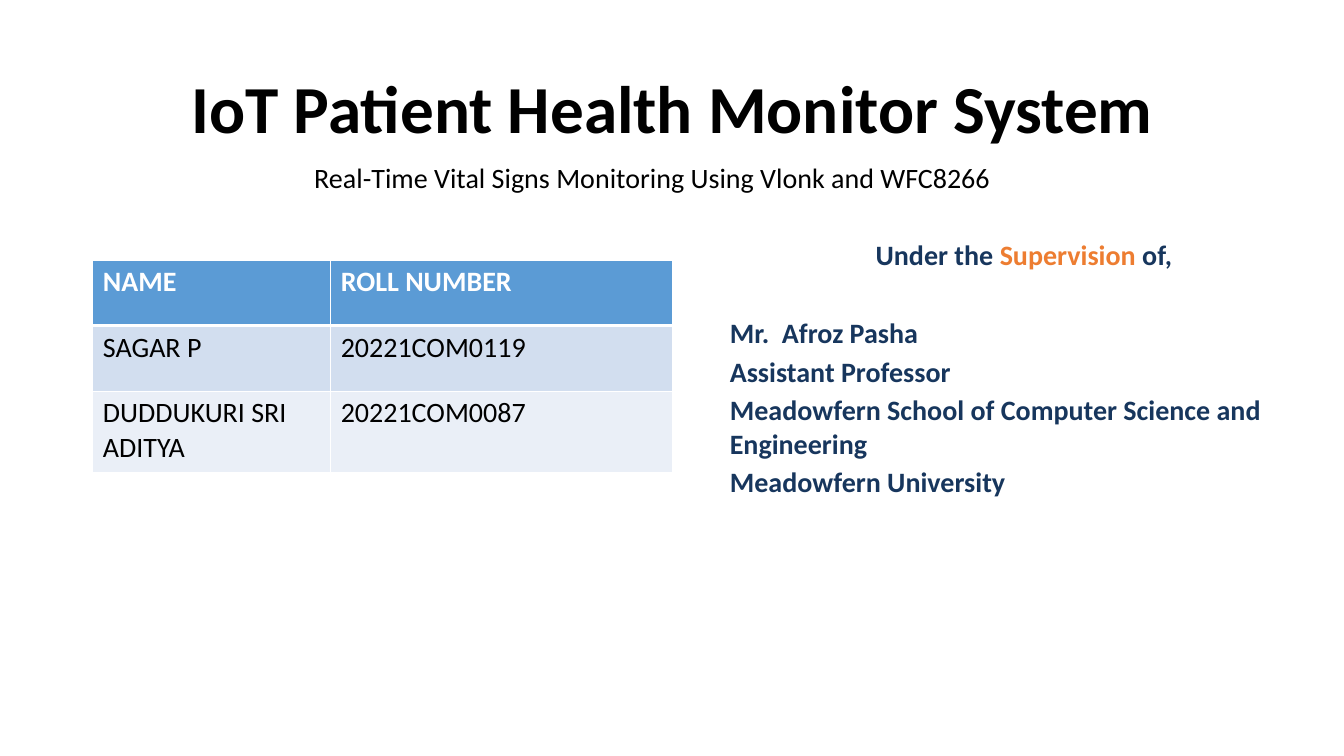
import pptx
import pptx.util
import pptx.dml.color
import pptx.enum.text
import lxml.etree
from pptx.util import Inches

COLORS = {
    "black": "000000", "white": "FFFFFF", "navy": "17365D", "orange": "ED7D31",
    "header": "5B9BD5", "band": "D2DEEF", "light": "EAEFF7",
}
LEFT = pptx.enum.text.PP_ALIGN.LEFT
CENTER = pptx.enum.text.PP_ALIGN.CENTER
NS = "http://schemas.openxmlformats.org/drawingml/2006/main"


def rgb(name):
    return pptx.dml.color.RGBColor.from_string(COLORS[name])


def write(p, text, size=20, color="black", bold=False, align=LEFT, before=0, line=None):
    """Add a formatted run to a paragraph."""
    p.alignment = align
    p.space_before = pptx.util.Pt(before)
    if line:
        p.line_spacing = pptx.util.Pt(line)
    r = p.add_run()
    r.text = text
    r.font.name = "Calibri"
    r.font.size = pptx.util.Pt(size)
    r.font.bold = bold
    r.font.color.rgb = rgb(color)


prs = pptx.Presentation()
prs.slide_width = Inches(13.33)
prs.slide_height = Inches(7.5)
s = prs.slides.add_slide(prs.slide_layouts[6])

# Supervisor
tf = s.shapes.add_textbox(Inches(7.14), Inches(2.31), Inches(6.03), Inches(2.21)).text_frame
tf.word_wrap = True
for text, color in [("Under the ", "navy"), ("Supervision", "orange"), (" of,", "navy")]:
    write(tf.paragraphs[0], text, color=color, bold=True, align=CENTER)
supervisor = [
    ("Mr.  Afroz Pasha", 31.8),
    ("Assistant Professor", 3.4),
    ("Meadowfern School of Computer Science and Engineering", 3.4),
    ("Meadowfern University", 3.4),
]
for text, before in supervisor:
    write(tf.add_paragraph(), text, color="navy", bold=True, before=before)

# Subtitle and title
headings = [
    ("Real-Time Vital Signs Monitoring Using Vlonk and WFC8266",
     (-0.23, 0.88, 13.4, 1.71), {"line": 72}),
    ("IoT Patient Health Monitor System",
     (0.92, 0.6, 11.5, 1.71), {"size": 48, "bold": True, "line": 58}),
]
for text, box, style in headings:
    tf = s.shapes.add_textbox(*map(Inches, box)).text_frame
    tf.word_wrap = True
    write(tf.paragraphs[0], text, align=CENTER, **style)

# Students
students = [
    ("NAME", "ROLL NUMBER"),
    ("SAGAR P", "20221COM0119"),
    ("DUDDUKURI SRI ADITYA", "20221COM0087"),
]
row_fills = ["header", "band", "light"]
table = s.shapes.add_table(3, 2, Inches(0.92), Inches(2.58), Inches(5.75), Inches(2.11)).table
table.horz_banding = False
for column, width in zip(table.columns, [2.36, 3.39]):
    column.width = Inches(width)
for row, height in zip(table.rows, [0.65, 0.65, 0.81]):
    row.height = Inches(height)
for i, values in enumerate(students):
    header = i == 0
    for j, text in enumerate(values):
        cell = table.cell(i, j)
        write(cell.text_frame.paragraphs[0], text,
              color="white" if header else "black", bold=header)
        tcPr = cell._tc.get_or_add_tcPr()
        widths = {"lnL": 1, "lnR": 1, "lnT": 3 if i == 1 else 1, "lnB": 3 if header else 1}
        for side, width in widths.items():
            ln = lxml.etree.SubElement(tcPr, f"{{{NS}}}{side}", w=str(pptx.util.Pt(width)))
            fill = lxml.etree.SubElement(ln, f"{{{NS}}}solidFill")
            lxml.etree.SubElement(fill, f"{{{NS}}}srgbClr", val=COLORS["white"])
        cell.fill.solid()
        cell.fill.fore_color.rgb = rgb(row_fills[i])

prs.save("out.pptx")
